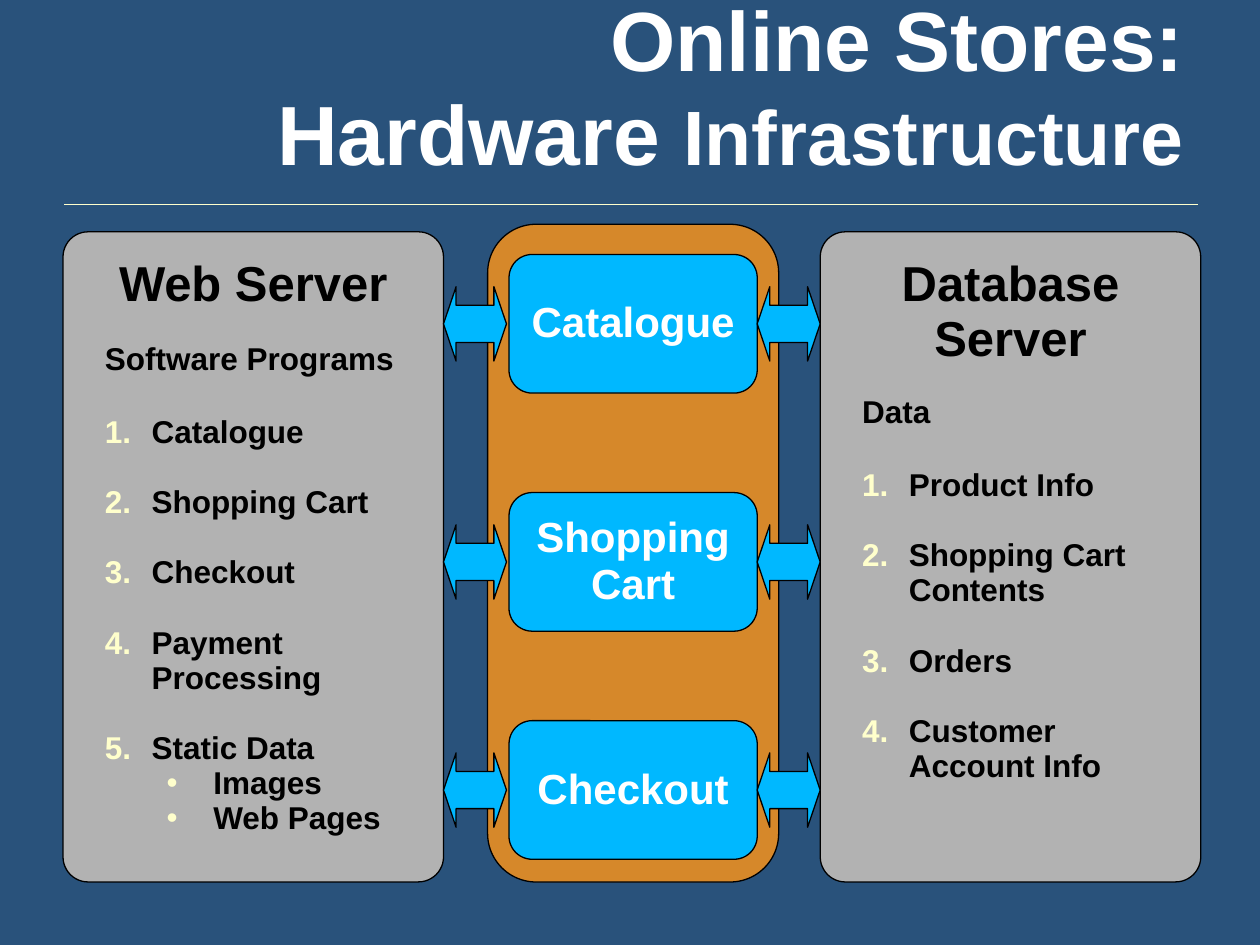
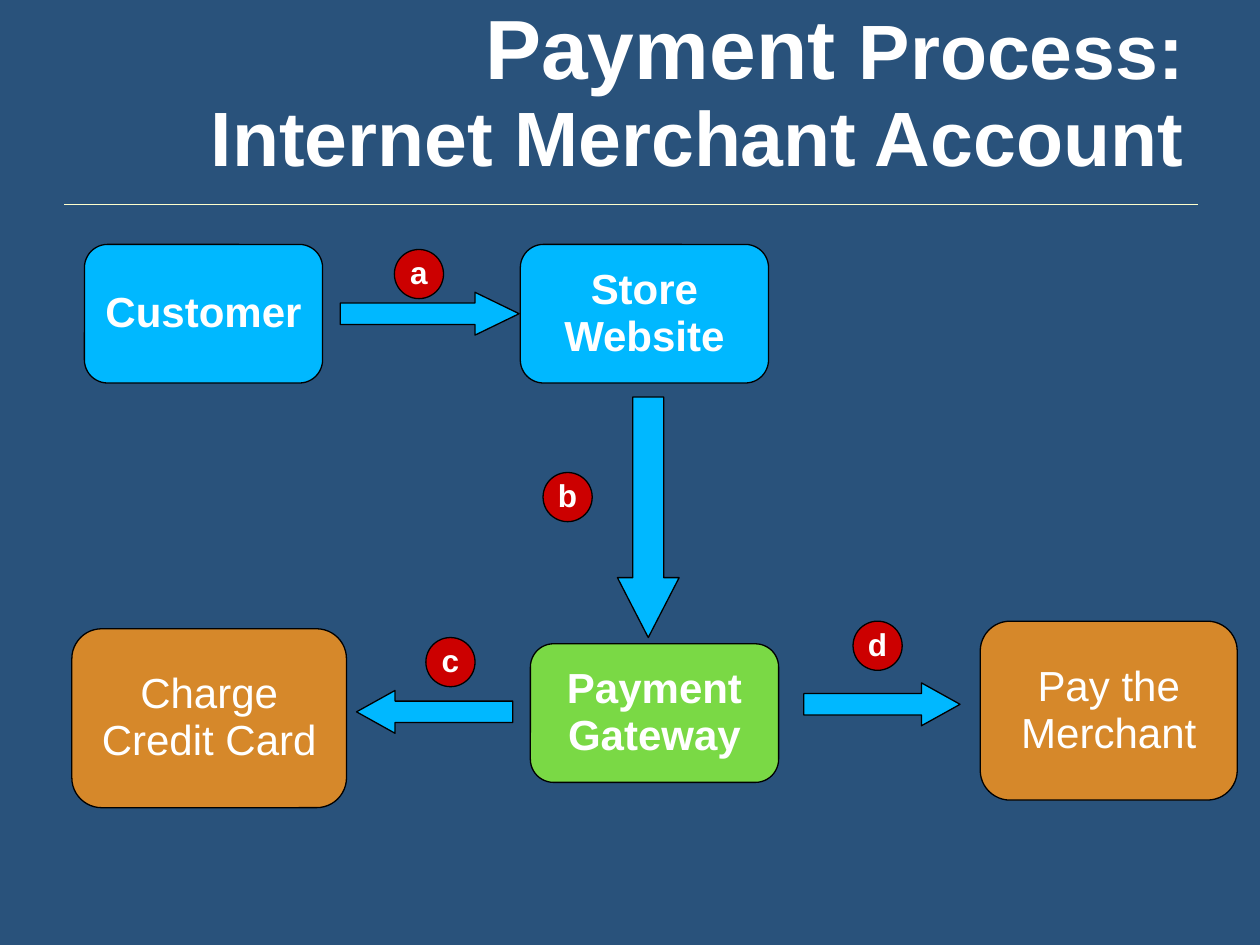
from dataclasses import dataclass
from typing import Any, NamedTuple

from lxml.etree import SubElement
from pptx import Presentation
from pptx.dml.color import RGBColor
from pptx.enum.shapes import MSO_CONNECTOR, MSO_SHAPE
from pptx.enum.text import MSO_ANCHOR, MSO_AUTO_SIZE, PP_ALIGN
from pptx.oxml.ns import qn
from pptx.util import Inches, Pt

NAVY = RGBColor(0x29, 0x52, 0x7B)
CREAM = RGBColor(0xFF, 0xFF, 0xCC)
ORANGE = RGBColor(0xD6, 0x88, 0x2A)
GREY = RGBColor(0xB2, 0xB2, 0xB2)
BLUE = RGBColor(0x00, 0xB8, 0xFF)
GREEN = RGBColor(0x7A, 0xD9, 0x45)
RED = RGBColor(0xCC, 0x00, 0x00)
BLACK = RGBColor(0x00, 0x00, 0x00)
WHITE = RGBColor(0xFF, 0xFF, 0xFF)

FONT = "Arial"
LINE_SPACING = 0.93
SLIDE_WIDTH, SLIDE_HEIGHT = Inches(10), Inches(7.5)
COLUMNS, ROWS = 100, 75
NODE_WIDTH, NODE_HEIGHT = 19.7, 11
SYNC_WIDTH, SYNC_HEIGHT = 5, 5.9
BADGE_SIZE = 3.9
PANEL_WIDTH = 30.2
NODE_CORNER, PANEL_CORNER = 0.167, 0.066


class Box(NamedTuple):
    left: float
    top: float
    width: float
    height: float

    def place(self) -> tuple[int, int, int, int]:
        return (column(self.left), row(self.top), column(self.width), row(self.height))


@dataclass(frozen=True)
class Node:
    label: str
    box: Box
    fill: RGBColor = BLUE
    bold: bool = True


@dataclass(frozen=True)
class Arrow:
    kind: MSO_SHAPE
    box: Box
    head: float


@dataclass(frozen=True)
class Badge:
    letter: str
    left: float
    top: float


@dataclass(frozen=True)
class Server:
    name: str
    left: float
    name_left: float
    name_height: float
    list_top: float
    list_height: float
    heading: str
    items: tuple[str, ...]
    details: tuple[str, ...] = ()


class TitleRun(NamedTuple):
    text: str
    size: int


HARDWARE_TITLE = (
    (TitleRun("Online Stores:", 48),),
    (TitleRun("Hardware ", 48), TitleRun("Infrastructure", 44)),
)
PAYMENT_TITLE = (
    (TitleRun("Payment ", 48), TitleRun("Process:", 44)),
    (TitleRun("Internet Merchant Account", 44),),
)
SERVERS = (
    Server("Web Server", 5, 6.8, 5.4, 26.7, 40.3, "Software Programs",
           ("Catalogue", "Shopping Cart", "Checkout", "Payment Processing", "Static Data"),
           ("Images", "Web Pages")),
    Server("Database Server", 65.1, 66.9, 9.7, 30.9, 31.9, "Data",
           ("Product Info", "Shopping Cart Contents", "Orders", "Customer Account Info")),
)
STORE_PARTS = tuple(
    Node(label, Box(40.4, top, NODE_WIDTH, NODE_HEIGHT))
    for label, top in (("Catalogue", 20.2), ("Shopping\nCart", 39.1), ("Checkout", 57.2))
)
PAYMENT_NODES = (
    Node("Customer", Box(6.7, 19.4, 18.9, NODE_HEIGHT)),
    Node("Store\nWebsite", Box(41.3, 19.4, NODE_WIDTH, NODE_HEIGHT)),
    Node("Payment\nGateway", Box(42.1, 51.1, NODE_WIDTH, NODE_HEIGHT), GREEN),
    Node("Charge\nCredit Card", Box(5.7, 49.9, 21.8, 14.2), ORANGE, False),
    Node("Pay the\nMerchant", Box(77.8, 49.3, 20.4, 14.2), ORANGE, False),
)
PAYMENT_ARROWS = (
    Arrow(MSO_SHAPE.RIGHT_ARROW, Box(27, 23.2, 14.2, 3.4), 1.03),
    Arrow(MSO_SHAPE.DOWN_ARROW, Box(49, 31.5, 4.9, 19.1), 0.97),
    Arrow(MSO_SHAPE.LEFT_ARROW, Box(28.3, 54.8, 12.4, 3.4), 0.9),
    Arrow(MSO_SHAPE.RIGHT_ARROW, Box(63.8, 54.2, 12.4, 3.4), 0.9),
)
PAYMENT_STEPS = (
    Badge("a", 31.3, 19.8),
    Badge("b", 43.1, 37.5),
    Badge("c", 33.8, 50.6),
    Badge("d", 67.7, 49.3),
)


def column(count: float) -> int:
    return round(SLIDE_WIDTH * count / COLUMNS)


def row(count: float) -> int:
    return round(SLIDE_HEIGHT * count / ROWS)


def apply_format(target: Any, values: dict[str, Any]) -> None:
    for attribute, value in values.items():
        setattr(target, attribute, value)


def write(paragraph: Any, text: str, size: int, color: RGBColor, bold: bool = True) -> None:
    run = paragraph.add_run()
    run.text = text
    apply_format(run.font, {"name": FONT, "size": Pt(size), "bold": bold})
    run.font.color.rgb = color


def next_paragraph(frame: Any, first: bool, align: PP_ALIGN) -> Any:
    paragraph = frame.paragraphs[0] if first else frame.add_paragraph()
    apply_format(paragraph, {"alignment": align, "line_spacing": LINE_SPACING})
    return paragraph


def write_lines(frame: Any, text: str, size: int, color: RGBColor, bold: bool = True) -> None:
    for index, line in enumerate(text.split("\n")):
        write(next_paragraph(frame, index == 0, PP_ALIGN.CENTER), line, size, color, bold)


def add_figure(slide: Any, kind: MSO_SHAPE, box: Box, fill: RGBColor, *adjustments: float) -> Any:
    figure = slide.shapes.add_shape(kind, *box.place())
    figure.shadow.inherit = False
    figure.fill.solid()
    figure.fill.fore_color.rgb = fill
    figure.line.color.rgb = BLACK
    figure.line.width = Pt(0.75)
    for index, value in enumerate(adjustments):
        figure.adjustments[index] = value
    return figure


def label_figure(figure: Any, label: str, size: int, bold: bool = True) -> None:
    frame = figure.text_frame
    apply_format(frame, {"word_wrap": False, "vertical_anchor": MSO_ANCHOR.MIDDLE})
    write_lines(frame, label, size, WHITE, bold)


def add_node(slide: Any, node: Node) -> None:
    figure = add_figure(slide, MSO_SHAPE.ROUNDED_RECTANGLE, node.box, node.fill, NODE_CORNER)
    label_figure(figure, node.label, 24, node.bold)


def add_badge(slide: Any, badge: Badge) -> None:
    box = Box(badge.left, badge.top, BADGE_SIZE, BADGE_SIZE)
    label_figure(add_figure(slide, MSO_SHAPE.OVAL, box, RED), badge.letter, 18)


def add_text_area(slide: Any, box: Box) -> Any:
    frame = slide.shapes.add_textbox(*box.place()).text_frame
    frame.word_wrap = True
    return frame


def add_list_entry(frame: Any, text: str, margin: float, gap: float,
                   marker: dict[str, str] | None = None, first: bool = False) -> None:
    paragraph = next_paragraph(frame, first, PP_ALIGN.LEFT)
    paragraph.space_after = Pt(gap)
    write(paragraph, text, 18, BLACK)
    properties = paragraph._p.get_or_add_pPr()
    properties.set("marL", str(column(margin)))
    properties.set("indent", str(-column(3.7)))
    if marker:
        color = SubElement(properties, qn("a:buClr"))
        SubElement(color, qn("a:srgbClr"), val=str(CREAM))
        SubElement(properties, qn("a:buFont"), typeface=FONT)
        tag = "a:buChar" if "char" in marker else "a:buAutoNum"
        SubElement(properties, qn(tag), **marker)


def add_server(slide: Any, server: Server) -> None:
    panel = Box(server.left, 18.4, PANEL_WIDTH, 51.6)
    add_figure(slide, MSO_SHAPE.ROUNDED_RECTANGLE, panel, GREY, PANEL_CORNER)
    name_frame = add_text_area(slide, Box(server.name_left, 20, 26.6, server.name_height))
    write_lines(name_frame, server.name, 28, BLACK)
    frame = add_text_area(
        slide, Box(server.left + 2.25, server.list_top, 25.7, server.list_height))
    add_list_entry(frame, server.heading, 3.8, 21.5, first=True)
    for item in server.items:
        gap = 0 if item == server.items[-1] else 20
        add_list_entry(frame, item, 3.8, gap, {"type": "arabicPeriod"})
    for detail in server.details:
        add_list_entry(frame, detail, 8.7, 0, {"char": "•"})


def add_titled_slide(deck: Any, title_lines: tuple[tuple[TitleRun, ...], ...]) -> Any:
    slide = deck.slides.add_slide(deck.slide_layouts.get_by_name("Title Only"))
    rule = slide.shapes.add_connector(
        MSO_CONNECTOR.STRAIGHT, column(5.1), row(16.2), column(95.1), row(16.2))
    rule.line.color.rgb = CREAM
    rule.line.width = Pt(0.5)
    SubElement(rule._element.spPr, qn("a:effectLst"))

    title = slide.shapes.title
    sides = ("left", "top", "width", "height")
    apply_format(title, dict(zip(sides, Box(5.1, -1.9, 89.9, 17).place())))
    frame = title.text_frame
    apply_format(frame, {"auto_size": MSO_AUTO_SIZE.NONE, "word_wrap": True,
                         "vertical_anchor": MSO_ANCHOR.BOTTOM})
    paragraph = next_paragraph(frame, True, PP_ALIGN.RIGHT)
    for index, line in enumerate(title_lines):
        if index:
            paragraph.add_line_break()
        for text, size in line:
            write(paragraph, text, size, WHITE)
    return slide


def build_hardware_slide(deck: Any) -> None:
    slide = add_titled_slide(deck, HARDWARE_TITLE)
    store = Box(38.7, 17.8, 23.1, 52.2)
    add_figure(slide, MSO_SHAPE.ROUNDED_RECTANGLE, store, ORANGE, NODE_CORNER)
    for server in SERVERS:
        add_server(slide, server)
    for part in STORE_PARTS:
        add_node(slide, part)
        sync_top = part.box.top + (NODE_HEIGHT - SYNC_HEIGHT) / 2
        for sync_left in (SERVERS[0].left + PANEL_WIDTH, SERVERS[1].left - SYNC_WIDTH):
            sync = Box(sync_left, sync_top, SYNC_WIDTH, SYNC_HEIGHT)
            add_figure(slide, MSO_SHAPE.LEFT_RIGHT_ARROW, sync, BLUE, 0.5, 0.2)


def build_payment_slide(deck: Any) -> None:
    slide = add_titled_slide(deck, PAYMENT_TITLE)
    for node in PAYMENT_NODES:
        add_node(slide, node)
    for step in PAYMENT_STEPS:
        add_badge(slide, step)
    for arrow in PAYMENT_ARROWS:
        add_figure(slide, arrow.kind, arrow.box, BLUE, 0.5, arrow.head)


def main() -> None:
    deck = Presentation()
    apply_format(deck, {"slide_width": SLIDE_WIDTH, "slide_height": SLIDE_HEIGHT})
    backdrop = deck.slide_master.background.fill
    backdrop.solid()
    backdrop.fore_color.rgb = NAVY
    build_hardware_slide(deck)
    build_payment_slide(deck)
    deck.save("out.pptx")


if __name__ == "__main__":
    main()
